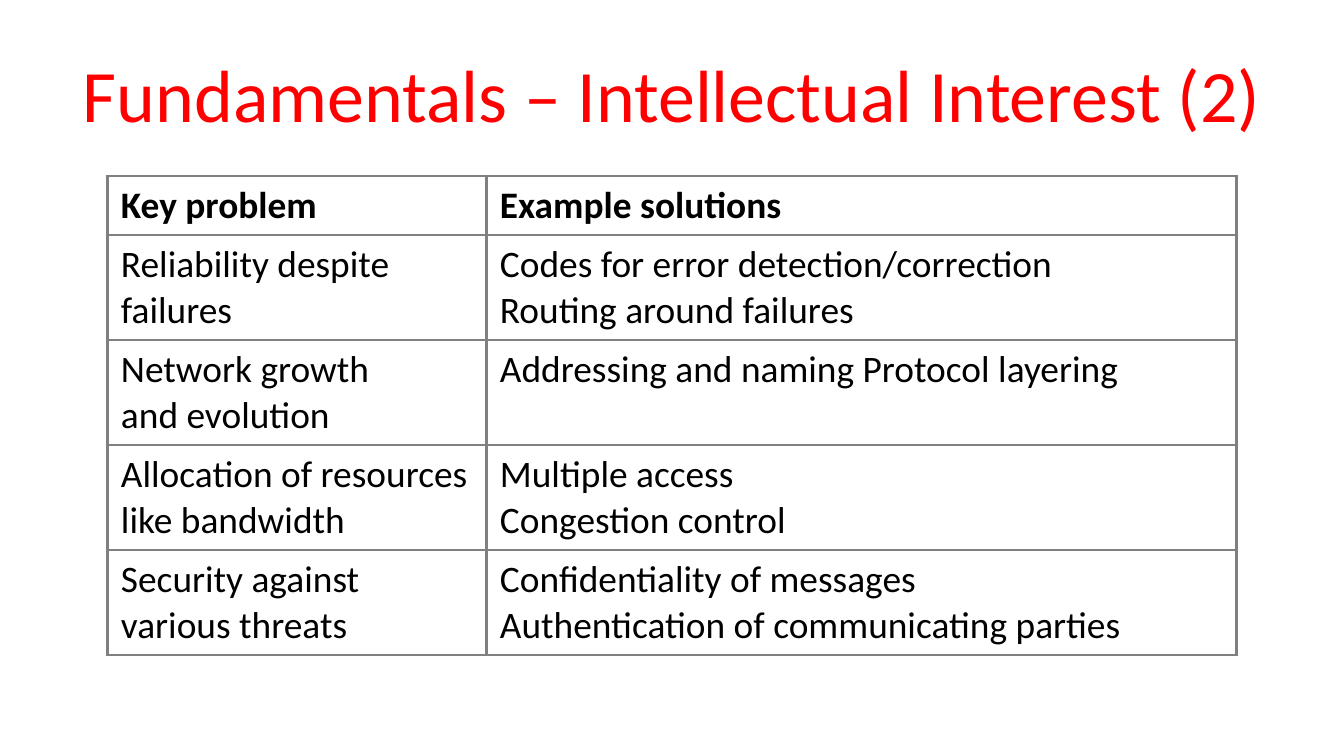
from lxml import etree
from pptx import Presentation
from pptx import util as u
from pptx.dml.color import RGBColor
from pptx.enum import text
from pptx.oxml import ns

RED = RGBColor(0xFF, 0x00, 0x00)
BLACK = RGBColor(0x00, 0x00, 0x00)
GRAY = RGBColor(0x80, 0x80, 0x80)

PAGE_WIDTH = u.Inches(10)
PAGE_HEIGHT = PAGE_WIDTH * 9 // 16

TITLE = "Fundamentals – Intellectual Interest (2)"
ROWS = [
    ("Key problem", "Example solutions"),
    ("Reliability despite failures",
     "Codes for error detection/correction\nRouting around failures"),
    ("Network growth\vand evolution", "Addressing and naming Protocol layering"),
    ("Allocation of resources like bandwidth",
     "Multiple access\nCongestion control"),
    ("Security against various threats",
     "Confidentiality of messages\nAuthentication of communicating parties"),
]
COLUMN_WIDTHS = (2.82, 5.58)
HEADER_HEIGHT = 0.44
ROW_HEIGHT = 0.78


def set_attributes(target, values):
    for name, value in values.items():
        setattr(target, name, value)


def format_text(frame, size, color, bold=False):
    for para in frame.paragraphs:
        for span in para.runs:
            set_attributes(span.font, {"name": "Calibri", "size": u.Pt(size), "bold": bold})
            span.font.color.rgb = color


def add_title(page):
    title = page.shapes.title
    set_attributes(title, {
        "left": u.Inches(0.25), "top": u.Inches(0.22),
        "width": u.Inches(9.5), "height": u.Inches(0.94),
    })
    frame = title.text_frame
    frame.text = TITLE
    set_attributes(frame, {
        "word_wrap": True,
        "auto_size": text.MSO_AUTO_SIZE.NONE,
        "vertical_anchor": text.MSO_ANCHOR.MIDDLE,
    })
    frame.paragraphs[0].alignment = text.PP_ALIGN.CENTER
    format_text(frame, 39.6, RED)


def add_borders(cell, color, width):
    properties = cell._tc.get_or_add_tcPr()
    for side in ("lnL", "lnR", "lnT", "lnB"):
        line = etree.SubElement(properties, ns.qn(f"a:{side}"), w=str(u.Pt(width)))
        fill = etree.SubElement(line, ns.qn("a:solidFill"))
        etree.SubElement(fill, ns.qn("a:srgbClr"), val=str(color))


def fill_cell(cell, content, bold):
    cell.text = content
    format_text(cell.text_frame, 20, BLACK, bold)
    add_borders(cell, GRAY, 1.5)
    cell.fill.background()


def add_problem_table(page):
    heights = [HEADER_HEIGHT] + [ROW_HEIGHT] * (len(ROWS) - 1)
    table = page.shapes.add_table(
        len(ROWS), len(COLUMN_WIDTHS), u.Inches(0.8), u.Inches(1.31),
        u.Inches(sum(COLUMN_WIDTHS)), u.Inches(sum(heights)),
    ).table
    set_attributes(table, {"first_row": False, "horz_banding": False})
    for column, width in zip(table.columns, COLUMN_WIDTHS):
        column.width = u.Inches(width)
    for index, (row, height) in enumerate(zip(table.rows, heights)):
        row.height = u.Inches(height)
        for cell, content in zip(row.cells, ROWS[index]):
            fill_cell(cell, content, bold=index == 0)


def main():
    deck = Presentation()
    set_attributes(deck, {"slide_width": PAGE_WIDTH, "slide_height": PAGE_HEIGHT})
    page = deck.slides.add_slide(deck.slide_layouts[5])
    add_title(page)
    add_problem_table(page)
    deck.save("out.pptx")


if __name__ == "__main__":
    main()
